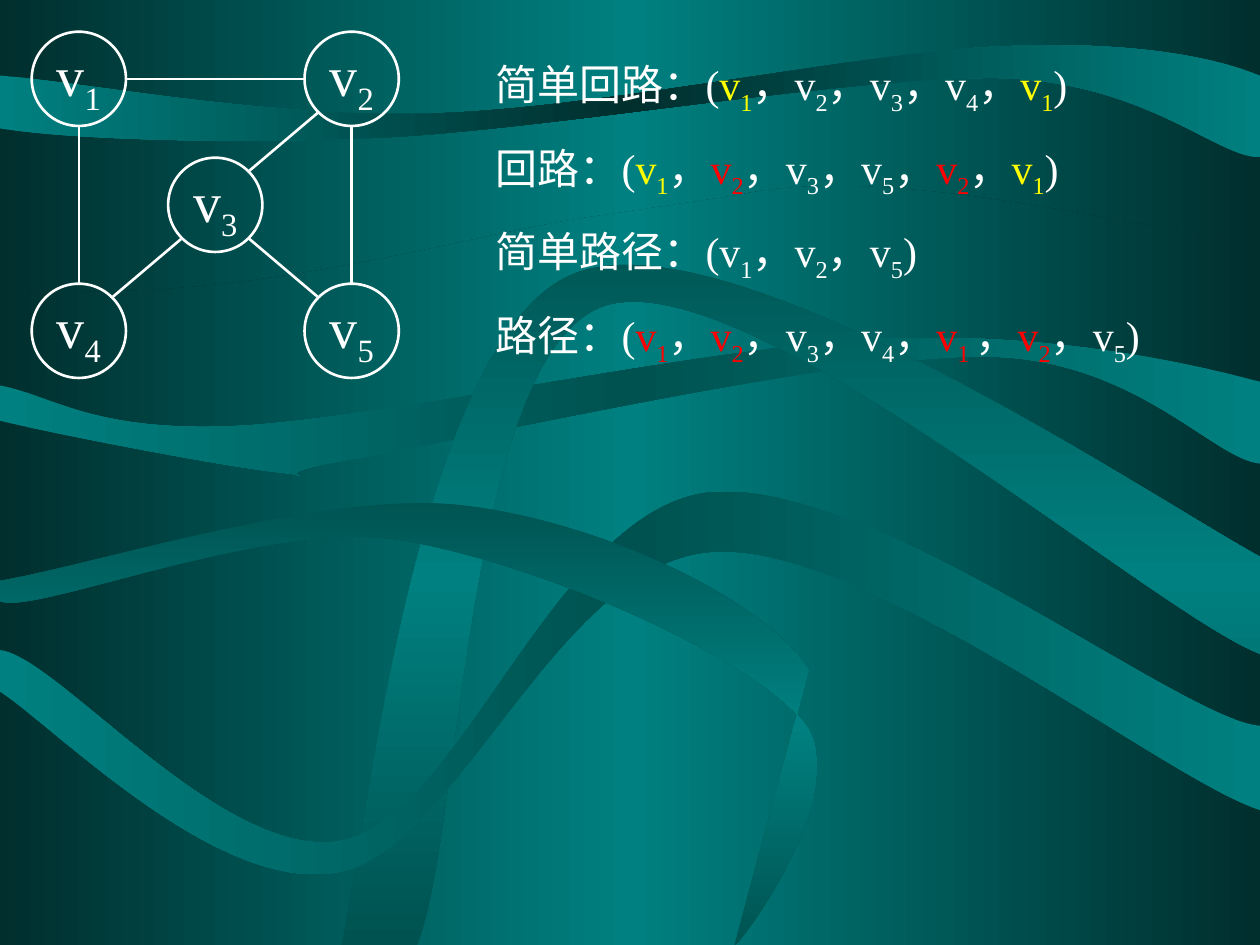
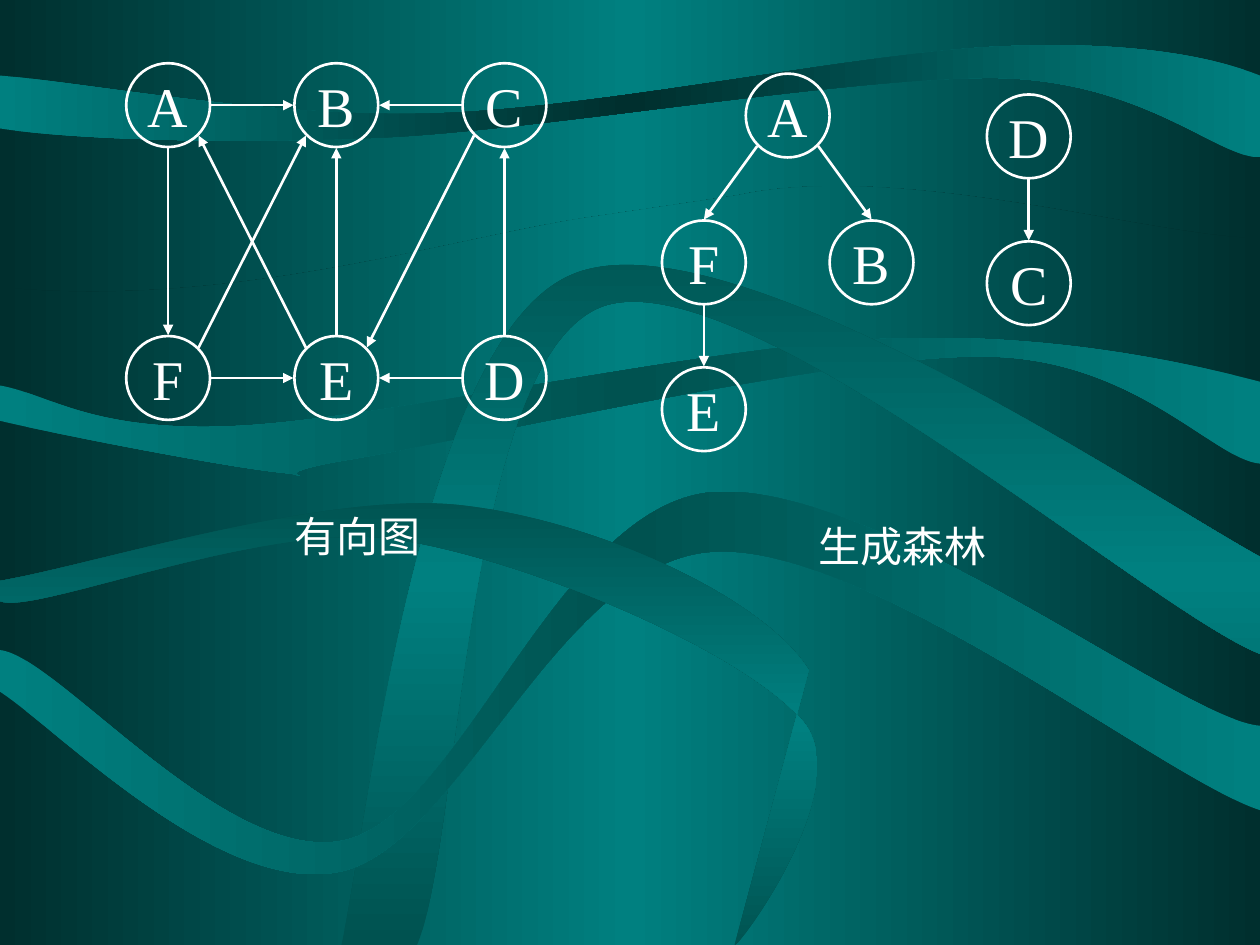
from copy import deepcopy

from lxml.etree import SubElement
from pptx import Presentation
from pptx.dml.color import RGBColor
from pptx.enum.shapes import MSO_CONNECTOR, MSO_SHAPE
from pptx.enum.text import MSO_ANCHOR, MSO_AUTO_SIZE, PP_ALIGN
from pptx.oxml.ns import qn
from pptx.util import Cm, Pt

COLOURS = {
    "dark": "002F2E", "deep": "005250", "teal": "008080",
    "white": "FFFFFF", "yellow": "FFFF00", "red": "FF0000",
}
RGB = {name: RGBColor.from_string(value) for name, value in COLOURS.items()}
FONT = {"name": "Times New Roman", "bold": False, "italic": False}
BOX_FORMAT = {"word_wrap": True, "auto_size": MSO_AUTO_SIZE.SHAPE_TO_FIT_TEXT}
NODE_FORMAT = {"word_wrap": False, "vertical_anchor": MSO_ANCHOR.MIDDLE}


def add_span(para, text, size, colour="white", subscript=False):
    span = para.add_run()
    span.text = text
    for name, value in (FONT | {"size": Pt(size)}).items():
        setattr(span.font, name, value)
    span.font.color.rgb = RGB[colour]
    if subscript:
        span.font._element.set("baseline", "-25000")


def add_box(page, left, top, width, height):
    box = page.shapes.add_textbox(Cm(left), Cm(top), Cm(width), Cm(height))
    for name, value in BOX_FORMAT.items():
        setattr(box.text_frame, name, value)
    return box.text_frame


deck = Presentation()
deck.slide_width, deck.slide_height = Cm(25.4), Cm(19.05)
master = deck.slide_master
blank = deck.slide_layouts[6]
paths_page, forest_page = (deck.slides.add_slide(blank) for _ in range(2))

# Ribbons on the master, in inches: edge and middle colour, gradient angle, start,
# then segments of two numbers for a line and six for a curve.
RIBBONS = [
    ("dark", "teal", 180, (0, 2.28), [
        (1.78, 2.45, 3.4, 1.94, 4.58, 1.74), (4.58, 1.74, 5.67, 1.58, 5.86, 1.55),
        (7.15, 1.27, 9.17, 1.89, 10, 1.89), (10, 7.5), (0, 7.5),
        (0, 7.5, 0, 2.28, 0, 2.28)]),
    ("teal", "dark", 180, (0, 0.6), [
        (0, 1.02), (0.51, 1.1, 1.76, 1.15, 3.08, 1.09),
        (4.4, 1.02, 6.79, 0.6, 7.94, 0.62), (9.09, 0.65, 9.66, 1.25, 10, 1.25),
        (10, 0.6), (9.65, 0.46, 9.01, 0.32, 7.92, 0.37),
        (6.82, 0.42, 4.77, 0.86, 3.45, 0.9), (2.13, 0.94, 0.72, 0.66, 0, 0.6)]),
    ("teal", "deep", 180, (0, 3.06), [
        (0, 3.34), (0.37, 3.43, 1.75, 3.7, 2.22, 3.75),
        (2.69, 3.8, 1.9, 3.79, 2.82, 3.64), (3.75, 3.48, 6.6, 2.82, 7.8, 2.83),
        (9, 2.83, 9.63, 3.65, 10, 3.68), (10, 3.03),
        (9.5, 2.9, 8.36, 2.63, 7.01, 2.69), (5.66, 2.74, 3.07, 3.32, 1.9, 3.38),
        (0.73, 3.44, 0.4, 3.13, 0, 3.06)]),
    ("deep", "teal", 90, (2.71, 7.5), [
        (2.91, 6.61, 3.32, 2.69, 4.54, 2.18), (5.75, 1.66, 9.09, 3.92, 10, 4.42),
        (10, 5.19), (9.13, 4.85, 5.91, 2.05, 4.79, 2.43),
        (3.68, 2.82, 3.66, 6.66, 3.31, 7.5), (2.71, 7.5)]),
    ("teal", "deep", 180, (0, 5.16), [
        (0, 5.49), (0.45, 5.78, 1.74, 7.11, 2.69, 6.92),
        (3.63, 6.74, 4.43, 4.46, 5.65, 4.38), (6.87, 4.29, 9.27, 6.2, 10, 6.43),
        (10, 5.76), (9.38, 5.72, 6.91, 3.77, 5.62, 3.91),
        (4.41, 4.06, 3.67, 6.46, 2.73, 6.67), (1.79, 6.87, 0.45, 5.2, 0, 5.16)]),
    ("deep", "teal", 90, (0, 4.61), [
        (0, 4.77), (0.26, 4.89, 2.08, 4.13, 3.14, 4.28),
        (4.2, 4.44, 5.92, 5.18, 6.37, 5.72), (6.82, 6.25, 5.82, 7.57, 5.83, 7.5),
        (6.42, 5.32), (6.06, 4.74, 4.73, 4.13, 3.66, 4.01),
        (2.59, 3.89, 0.76, 4.48, 0, 4.61)]),
]
gradients = [(master.background.fill, master.element.cSld.bg, "dark", "teal", 180)]
for order, (edge, middle, angle, start, segments) in enumerate(RIBBONS):
    numbers = [Cm(number * 2.54) for segment in (start, *segments) for number in segment]
    outline = list(zip(numbers[::2], numbers[1::2]))
    pen = paths_page.shapes.build_freeform(*outline[0])
    pen.add_line_segments(outline[1:], close=True)
    ribbon = pen.convert_to_shape()

    # Every three steps of a curved segment become one Bézier curve.
    steps = iter(list(ribbon.element.iter(qn("a:lnTo"))))
    for segment in segments:
        curve = next(steps)
        if len(segment) == 6:
            curve.tag = qn("a:cubicBezTo")
            for step in (next(steps), next(steps)):
                curve.append(step[0])
                step.getparent().remove(step)

    ribbon.name = f"Ribbon {order + 1}"
    ribbon.shadow.inherit = False
    ribbon.line.fill.background()
    ribbon.element.nvSpPr.cNvPr.set("id", str(20 + order))
    master.element.cSld.spTree.insert(2 + order, ribbon.element)
    gradients.append((ribbon.fill, ribbon.element, edge, middle, angle))

for fill, element, edge, middle, angle in gradients:
    fill.gradient()
    fill.gradient_angle = angle
    stop_list = next(element.iter(qn("a:gsLst")))
    stop_list.append(deepcopy(stop_list[-1]))
    for stop, colour, position in zip(fill.gradient_stops, (edge, middle, edge), (0, 0.5, 1)):
        stop.color.rgb = RGB[colour]
        stop.position = position

# Graphs in centimetres: page, node diameter, arrows, node centres, and edges
# with the compass points of the circles where they start and end.
COMPASS = {
    "N": (0, -1), "S": (0, 1), "W": (-1, 0), "E": (1, 0),
    "NW": (-0.71, -0.71), "NE": (0.71, -0.71), "SW": (-0.71, 0.71), "SE": (0.71, 0.71),
}
GAP = 0.02
GRAPHS = [
    (paths_page, 1.9, False,
     {name: (1.59 + 2.75 * column, 1.59 + 2.54 * row) for name, column, row in (
         ("v1", 0, 0), ("v2", 2, 0), ("v4", 0, 2), ("v5", 2, 2), ("v3", 1, 1))},
     ["v4 NE v3 SW", "v3 NE v2 SW", "v1 E v2 W", "v1 S v4 N", "v3 SE v5 NW", "v2 S v5 N"]),
    (forest_page, 1.69, True,
     {name: (3.39 * (column + 1), 2.12 + 5.5 * row)
      for column, names in enumerate(("AF", "BE", "CD")) for row, name in enumerate(names)},
     ["A E B W", "C W B E", "F E E W", "D W E E", "A S F N", "D N C S", "E N B S",
      "E NW A SE", "F NE B SW", "C SW E NE"]),
    (forest_page, 1.69, True,
     {name: (15.88 + 1.69 * column, 2.33 + 2.96 * row) for name, column, row in (
         ("A", 0, 0), ("F", -1, 1), ("B", 1, 1), ("E", -1, 2))},
     ["A SW F N", "A SE B N", "F S E N"]),
    (forest_page, 1.69, True, {"D": (20.74, 2.75), "C": (20.74, 5.71)}, ["D S C N"]),
]
for page, diameter, arrows, centres, edges in GRAPHS:
    graph = page.shapes.add_group_shape()
    radius = diameter / 2
    for name, (x, y) in centres.items():
        node = graph.shapes.add_shape(
            MSO_SHAPE.OVAL, Cm(x - radius), Cm(y - radius), Cm(diameter), Cm(diameter))
        node.shadow.inherit = False
        node.fill.background()
        node.line.color.rgb = RGB["white"]
        node.line.width = Pt(1.5)
        for attribute, value in NODE_FORMAT.items():
            setattr(node.text_frame, attribute, value)
        para = node.text_frame.paragraphs[0]
        para.alignment = PP_ALIGN.CENTER
        add_span(para, name[0], 32)
        if name[1:]:
            add_span(para, name[1:], 32, subscript=True)
    for edge in edges:
        source, exit_side, target, entry_side = edge.split()
        ends = [
            Cm(centre + (radius + GAP) * offset)
            for name, side in ((source, exit_side), (target, entry_side))
            for centre, offset in zip(centres[name], COMPASS[side])]
        link = graph.shapes.add_connector(MSO_CONNECTOR.STRAIGHT, *ends)
        link.line.color.rgb = RGB["white"]
        link.line.width = Pt(1.5)
        if arrows:
            SubElement(link.line._get_or_add_ln(), qn("a:tailEnd"), type="triangle")
        SubElement(link.element.spPr, qn("a:effectLst"))

# Paths: label and vertices; Y marks a yellow vertex and R a red one.
MARKS = {"Y": "yellow", "R": "red"}
PATHS = [
    ("简单回路", ["Y1", "2", "3", "4", "Y1"]),
    ("回路", ["Y1", "R2", "3", "5", "R2", "Y1"]),
    ("简单路径", ["1", "2", "5"]),
    ("路径", ["R1", "R2", "3", "4", "R1 ", "R2", "5"]),
]
frame = add_box(paths_page, 9.74, 1.06, 14.82, 7.62)
for order, (label, vertices) in enumerate(PATHS):
    para = frame.add_paragraph() if order else frame.paragraphs[0]
    if order:
        para.space_before = Pt(15)
    lead = label + "：("
    for vertex in vertices:
        colour = MARKS.get(vertex[0], "white")
        if colour == "white":
            add_span(para, lead + "v", 24)
        else:
            add_span(para, lead, 24)
            add_span(para, "v", 24, colour)
        add_span(para, vertex.lstrip("YR"), 24, colour, subscript=True)
        lead = "，"
    add_span(para, ")", 24)

for caption, left, top, width in (("生成森林", 14.18, 10.37, 8.04), ("有向图", 4.45, 10.16, 5.5)):
    para = add_box(forest_page, left, top, width, 1.27).paragraphs[0]
    para.alignment = PP_ALIGN.CENTER
    add_span(para, caption, 24)

deck.save("out.pptx")
